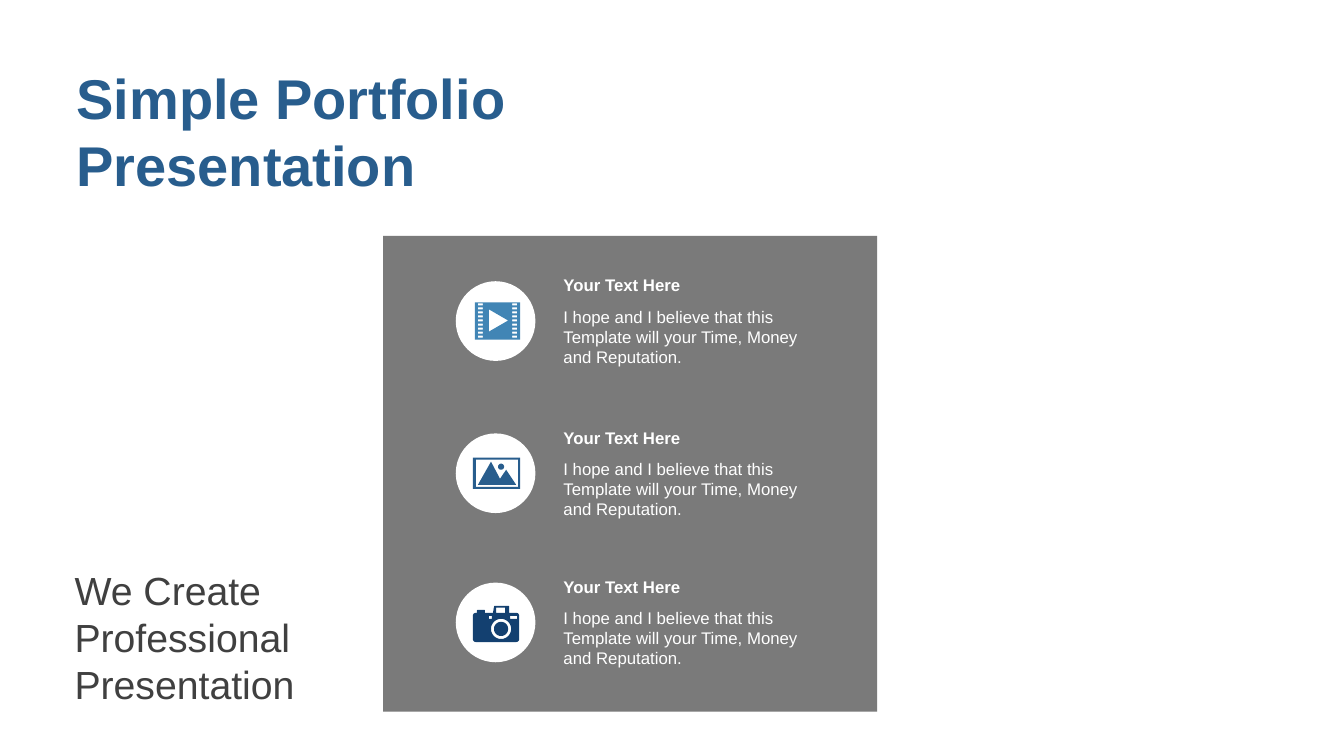
from dataclasses import dataclass
from math import cos, radians, sin

from lxml.etree import SubElement
from pptx import Presentation
from pptx.dml.color import RGBColor
from pptx.enum.shapes import MSO_SHAPE
from pptx.enum.text import MSO_AUTO_SIZE
from pptx.oxml.ns import qn
from pptx.util import Inches, Pt


@dataclass(frozen=True)
class Theme:
    font: str = "Arial"
    white: str = "FFFFFF"
    panel: str = "595959"
    dark_text: str = "404040"
    sky: str = "4185B5"
    blue: str = "285D8D"
    navy: str = "134070"
    title_size: int = 40
    subtitle_size: int = 28
    body_size: int = 12


def rectangle(left, top, right, bottom):
    return [(left, top), (right, top), (right, bottom), (left, bottom)]


def arc(x, y, radius, start, end, steps=6):
    """Points on an arc; angles are in degrees, clockwise from the right."""
    angles = [radians(start + (end - start) * i / steps) for i in range(steps + 1)]
    return [(x + radius * cos(a), y + radius * sin(a)) for a in angles]


def circle(x, y, radius):
    return arc(x, y, radius, 0, 360, 48)[:-1]


def film_icon():
    holes = [
        rectangle(x, 3.01 + 0.04 * row, x + 0.05, 3.03 + 0.04 * row)
        for x in (4.74, 5.08)
        for row in range(9)
    ]
    play = [(4.85, 3.07), (4.85, 3.29), (5.04, 3.18)]
    return [rectangle(4.71, 3.0, 5.16, 3.37), play, *holes]


def landscape_icon():
    mountains = [(4.87, 4.58), (4.96, 4.75), (5.02, 4.66), (5.12, 4.81), (4.74, 4.81)]
    return [
        rectangle(4.69, 4.54, 5.16, 4.85),
        rectangle(4.72, 4.56, 5.14, 4.83),
        mountains,
        circle(4.97, 4.63, 0.03),
    ]


def camera_icon():
    body = [
        *arc(4.91, 6.02, 0.01, 180, 270),
        *arc(5.04, 6.02, 0.01, 270, 360),
        (5.05, 6.08),
        *arc(5.12, 6.11, 0.03, 270, 360),
        *arc(5.12, 6.34, 0.03, 0, 90),
        *arc(4.72, 6.34, 0.03, 90, 180),
        *arc(4.72, 6.11, 0.03, 180, 270),
        (4.73, 6.08),
        *arc(4.74, 6.06, 0.01, 180, 270),
        *arc(4.8, 6.06, 0.01, 270, 360),
        (4.81, 6.08),
        (4.89, 6.08),
    ]
    return [
        body,
        circle(4.97, 6.24, 0.1),
        circle(4.97, 6.24, 0.07),
        rectangle(4.85, 6.11, 4.88, 6.14),
        rectangle(5.06, 6.11, 5.13, 6.14),
        rectangle(4.92, 6.03, 5.01, 6.08),
    ]


class PortfolioSlide:
    def __init__(self, page, theme):
        self.page = page
        self.theme = theme

    def paint(self, shape, color, opacity=100):
        shape.shadow.inherit = False
        shape.fill.solid()
        shape.fill.fore_color.rgb = RGBColor.from_string(color)
        shape.line.fill.background()
        if opacity < 100:
            color_node = shape.fill._xPr.find(f"{qn('a:solidFill')}/{qn('a:srgbClr')}")
            SubElement(color_node, qn("a:alpha"), val=str(opacity * 1000))

    def shape(self, kind, left, top, width, height, color, opacity=100):
        shape = self.page.shapes.add_shape(
            kind, Inches(left), Inches(top), Inches(width), Inches(height)
        )
        self.paint(shape, color, opacity)

    def icon(self, contours, color):
        """Draw closed contours as one outline; inner contours become holes."""
        units = [[(x * 1000, y * 1000) for x, y in points] for points in contours]
        builder = self.page.shapes.build_freeform(*units[0][0], scale=Inches(1) / 1000)
        for index, points in enumerate(units):
            if index:
                builder.move_to(*points[0])
            builder.add_line_segments(points[1:], close=True)
        self.paint(builder.convert_to_shape(), color)

    def text(self, lines, left, top, width, height, size, color,
             bold=False, wrap=True, margins=(0.1, 0.05, 0.1, 0.05)):
        box = self.page.shapes.add_textbox(
            Inches(left), Inches(top), Inches(width), Inches(height)
        )
        frame = box.text_frame
        sides = ("margin_left", "margin_top", "margin_right", "margin_bottom")
        frame_format = dict(zip(sides, map(Inches, margins)))
        frame_format |= {"word_wrap": wrap, "auto_size": MSO_AUTO_SIZE.SHAPE_TO_FIT_TEXT}
        for name, value in frame_format.items():
            setattr(frame, name, value)
        for index, line in enumerate(lines):
            para = frame.add_paragraph() if index else frame.paragraphs[0]
            span = para.add_run()
            span.text = line
            span_format = {"name": self.theme.font, "size": Pt(size), "bold": bold}
            for name, value in span_format.items():
                setattr(span.font, name, value)
            span.font.color.rgb = RGBColor.from_string(color)

    def feature(self, top, contours, color):
        theme = self.theme
        self.shape(MSO_SHAPE.OVAL, 4.52, top, 0.79, 0.79, theme.white)
        self.icon(contours, color)
        self.text(["Your Text Here"], 5.49, top - 0.11, 2.63, 0.3,
                  theme.body_size, theme.white, bold=True)
        self.text(
            ["I hope and I believe that this Template will your Time, Money and Reputation."],
            5.49, top + 0.2, 2.63, 0.71, theme.body_size, theme.white,
        )


def main():
    deck = Presentation()
    deck.slide_width, deck.slide_height = Inches(13.33), Inches(7.5)
    theme = Theme()
    slide = PortfolioSlide(deck.slides.add_slide(deck.slide_layouts[6]), theme)

    slide.shape(MSO_SHAPE.RECTANGLE, 3.8, 2.34, 4.9, 4.72, theme.panel, opacity=80)
    for top, contours, color in (
        (2.79, film_icon(), theme.sky),
        (4.3, landscape_icon(), theme.blue),
        (5.78, camera_icon(), theme.navy),
    ):
        slide.feature(top, contours, color)

    slide.text(["Simple Portfolio", "Presentation"], 0.66, 0.58, 4.66, 1.45,
               theme.title_size, theme.blue, bold=True, wrap=False)
    slide.text(["We Create", "Professional Presentation"], 0.66, 5.62, 3.05, 1.41,
               theme.subtitle_size, theme.dark_text, margins=(0.08, 0, 0.04, 0))
    deck.save("out.pptx")


if __name__ == "__main__":
    main()
